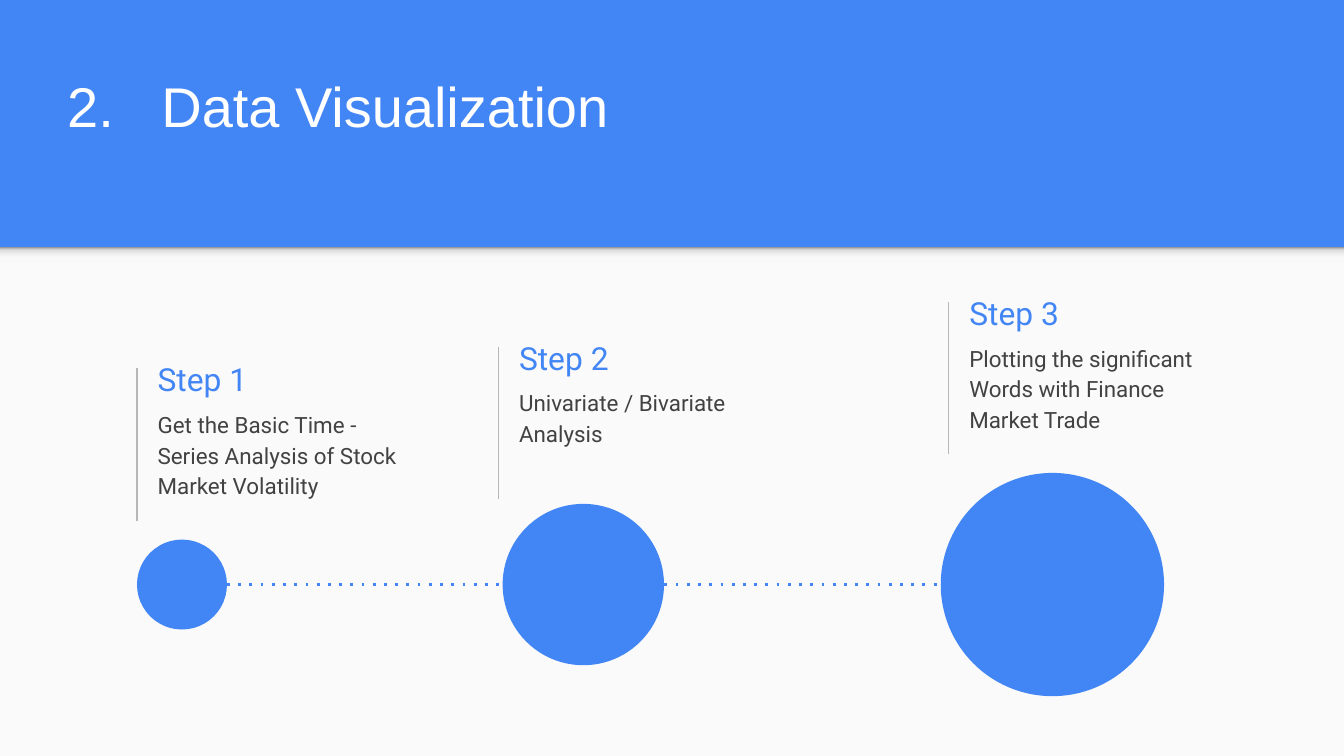
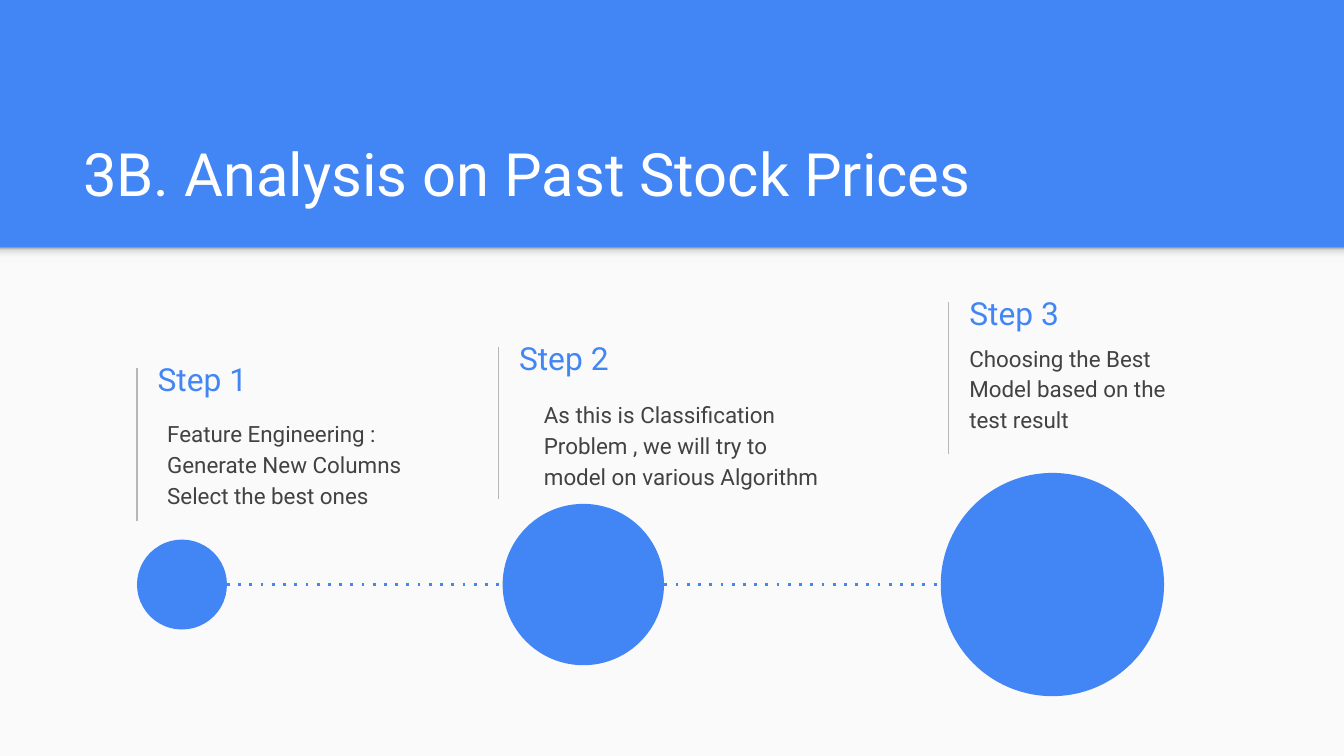
from lxml import etree
from pptx import Presentation
from pptx.dml.color import RGBColor
from pptx.enum.shapes import MSO_CONNECTOR, MSO_SHAPE
from pptx.enum.text import MSO_ANCHOR
from pptx.oxml.ns import qn
from pptx.util import Cm, Pt

BLUE = RGBColor(0x42, 0x85, 0xF4)
WHITE = RGBColor(0xFF, 0xFF, 0xFF)
PANEL = RGBColor(0xFA, 0xFA, 0xFA)
RULE = RGBColor(0xB7, 0xB7, 0xB7)
BODY = RGBColor(0x42, 0x42, 0x42)
EDGE_STOPS = [
    (0, RGBColor(0xF9, 0xF9, 0xF9)),
    (36, RGBColor(0xF9, 0xF9, 0xF9)),
    (80, RGBColor(0xDE, 0xDE, 0xDE)),
    (100, RGBColor(0x99, 0x99, 0x99)),
]
RECT, OVAL = MSO_SHAPE.RECTANGLE, MSO_SHAPE.OVAL
STRAIGHT = MSO_CONNECTOR.STRAIGHT
TOP, MIDDLE, BOTTOM = MSO_ANCHOR.TOP, MSO_ANCHOR.MIDDLE, MSO_ANCHOR.BOTTOM

# All lengths are in centimetres.
WIDTH, HEIGHT, BAND = 25.4, 14.29, 4.67
AXIS_Y, RULE_H, INSET = 11.05, 2.88, 0.25
TEXT_W, HEADING_H, BODY_H = 5.03, 1.09, 1.6

# Rule left, rule top, circle left, circle diameter
STEPS = [
    (2.59, 6.96, 2.59, 1.7),
    (9.42, 6.55, 9.5, 3.05),
    (17.93, 5.71, 17.78, 4.22),
]

# Each step text has its shift right, shift down and extra width
SLIDES = [
    {
        "title": "2.\tData Visualization",
        "at": (1.02, 0.74), "size": 30, "font": "Arial", "tab": 1.78,
        "texts": [
            ("Get the Basic Time - Series Analysis of Stock Market Volatility", 0, 0, 0),
            ("Univariate / Bivariate Analysis", 0, 0, 0),
            ("Plotting the significant Words with Finance Market Trade", 0, 0, 0),
        ],
    },
    {
        "title": "3B. Analysis on Past Stock Prices",
        "at": (1.32, 2.06), "size": 32, "font": "Roboto", "tab": None,
        "texts": [
            ("Feature Engineering : Generate New Columns Select the best ones", 0.18, 0.18, 0),
            ("As this is Classification Problem , we will try to model on various Algorithm",
             0.47, 0.23, 0.86),
            ("Choosing the Best Model based on the test result", 0, 0, 0),
        ],
    },
]


def add_text(slide, text, x, y, w, h, size, color, font="Roboto", anchor=TOP):
    tf = slide.shapes.add_textbox(Cm(x), Cm(y), Cm(w), Cm(h)).text_frame
    tf.word_wrap = True
    tf.vertical_anchor = anchor
    tf.margin_left = tf.margin_right = tf.margin_top = tf.margin_bottom = Cm(INSET)
    p = tf.paragraphs[0]
    p.text = text
    f = p.runs[0].font
    f.name, f.size, f.color.rgb = font, Pt(size), color
    return p


def add_tab_stop(p, pos):
    tabs = etree.SubElement(p._p.get_or_add_pPr(), qn("a:tabLst"))
    etree.SubElement(tabs, qn("a:tab"), pos=str(Cm(pos)), algn="l")


def add_shape(slide, kind, x, y, w, h, color):
    sp = slide.shapes.add_shape(kind, Cm(x), Cm(y), Cm(w), Cm(h))
    sp.shadow.inherit = False
    sp.fill.solid()
    sp.fill.fore_color.rgb = color
    sp.line.fill.background()
    return sp


def add_line(slide, x1, y1, x2, y2, color, width, dash=None):
    line = slide.shapes.add_connector(STRAIGHT, Cm(x1), Cm(y1), Cm(x2), Cm(y2))
    line.line.color.rgb = color
    line.line.width = Pt(width)
    spPr = line._element.spPr
    if dash:
        etree.SubElement(spPr.find(qn("a:ln")), qn("a:prstDash"), val=dash)
    etree.SubElement(spPr, qn("a:effectLst"))


def add_edge_shadow(slide):
    """Strip under the title band, dark at its top and fading downwards."""
    sp = add_shape(slide, RECT, 0, BAND, WIDTH, 0.3, PANEL)
    solid = sp._element.spPr.find(qn("a:solidFill"))
    grad = etree.Element(qn("a:gradFill"), rotWithShape="1")
    stops = etree.SubElement(grad, qn("a:gsLst"))
    for percent, color in EDGE_STOPS:
        gs = etree.SubElement(stops, qn("a:gs"), pos=str(percent * 1000))
        etree.SubElement(gs, qn("a:srgbClr"), val=str(color))
    etree.SubElement(grad, qn("a:lin"), ang=str(270 * 60000), scaled="0")
    solid.getparent().replace(solid, grad)


def add_frame(slide, content):
    """Blue title band above the light panel."""
    slide.background.fill.solid()
    slide.background.fill.fore_color.rgb = BLUE
    add_shape(slide, RECT, 0, BAND, WIDTH, HEIGHT - BAND, PANEL)
    add_edge_shadow(slide)
    p = add_text(slide, content["title"], *content["at"], 22.83, 2.13,
                 content["size"], WHITE, content["font"], BOTTOM)
    if content["tab"]:
        add_tab_stop(p, content["tab"])


def add_step(slide, number, place, text, dx, dy, extra):
    rule_x, rule_y, _, _ = place
    x, y = rule_x + 0.14, rule_y - 0.34
    add_line(slide, rule_x, rule_y, rule_x, rule_y + RULE_H, RULE, 0.75)
    add_text(slide, f"Step {number}", x, y, TEXT_W, HEADING_H, 17, BLUE, anchor=MIDDLE)
    p = add_text(slide, text, x + dx, y + 0.82 + dy, TEXT_W + extra, BODY_H, 12, BODY)
    p.line_spacing = 1.15
    p.space_after = Pt(16)


def add_timeline(slide):
    _, _, first_x, first_d = STEPS[0]
    add_line(slide, first_x + first_d, AXIS_Y, STEPS[-1][2], AXIS_Y, BLUE, 1.5, "dot")
    for _, _, x, d in STEPS:
        add_shape(slide, OVAL, x, AXIS_Y - d / 2, d, d, BLUE)


def main():
    prs = Presentation()
    prs.slide_width, prs.slide_height = Cm(WIDTH), Cm(HEIGHT)
    for content in SLIDES:
        slide = prs.slides.add_slide(prs.slide_layouts[6])
        add_frame(slide, content)
        for number, (place, text) in enumerate(zip(STEPS, content["texts"]), 1):
            add_step(slide, number, place, *text)
        add_timeline(slide)
    prs.save("out.pptx")


if __name__ == "__main__":
    main()
